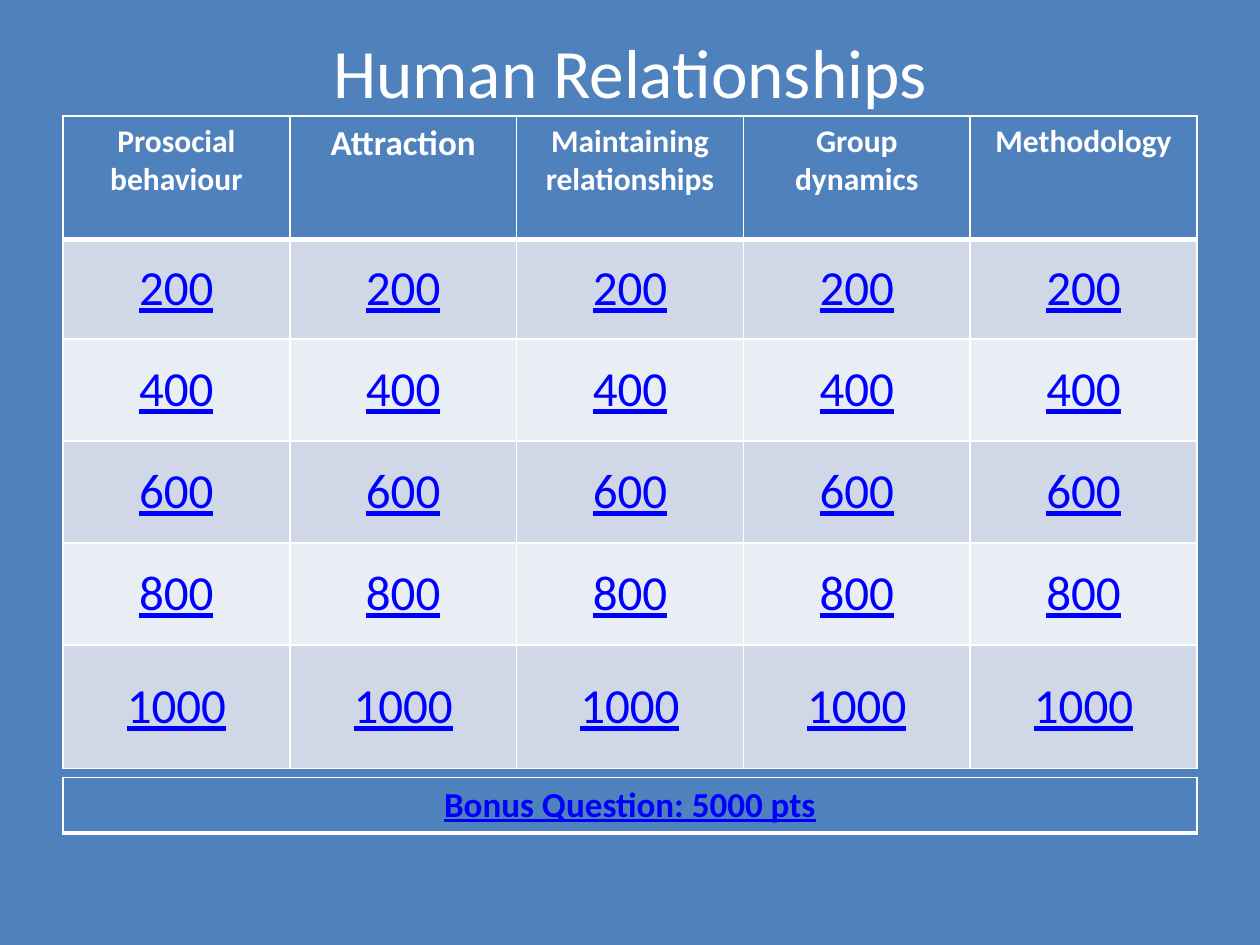
from lxml import etree
from pptx import Presentation
from pptx import util as u
from pptx.dml.color import RGBColor
from pptx.enum import text
from pptx.oxml.ns import qn

BLUE, WHITE, LINK = "4F81BD", "FFFFFF", "0000FF"
BANDS = ["D0D8E8", "E9EDF4"]
MIDDLE = text.MSO_ANCHOR.MIDDLE


def color(value):
    return RGBColor.from_string(value)


def write(frame, content, *, size, ink=WHITE, bold=False, underline=False):
    """Fill a text frame with one centred, formatted paragraph."""
    paragraph = frame.paragraphs[0]
    paragraph.alignment = text.PP_ALIGN.CENTER
    run = paragraph.add_run()
    run.text = content
    font = run.font
    font.name, font.size = "Calibri", u.Pt(size)
    font.bold, font.underline = bold, underline
    font.color.rgb = color(ink)


def draw_borders(cell, top, bottom):
    """Draw white cell borders; widths are in points."""
    properties = cell._tc.get_or_add_tcPr()
    widths = {"a:lnL": 1, "a:lnR": 1, "a:lnT": top, "a:lnB": bottom}
    for index, (tag, width) in enumerate(widths.items()):
        line = etree.Element(qn(tag), w=str(int(u.Pt(width))))
        solid = etree.SubElement(line, qn("a:solidFill"))
        etree.SubElement(solid, qn("a:srgbClr"), val=WHITE)
        properties.insert(index, line)


class QuizBoard:
    """Holds the current slide and the common look of its elements."""
    left, width = u.Inches(0.5), u.Inches(9)

    def __init__(self, presentation):
        self.slide = presentation.slides.add_slide(presentation.slide_layouts[5])
        background = self.slide.background.fill
        background.solid()
        background.fore_color.rgb = color(BLUE)

    def title(self, content, top, height):
        shape = self.slide.shapes.title
        shape.left, shape.top = self.left, u.Inches(top)
        shape.width, shape.height = self.width, u.Inches(height)
        shape.text_frame.auto_size = text.MSO_AUTO_SIZE.NONE
        shape.text_frame.vertical_anchor = MIDDLE
        write(shape.text_frame, content, size=39.6)

    def table(self, top, row_heights, columns):
        shape = self.slide.shapes.add_table(
            len(row_heights), columns, self.left, u.Inches(top),
            self.width, u.Inches(sum(row_heights)))
        for row, height in zip(shape.table.rows, row_heights):
            row.height = u.Inches(height)
        return shape.table

    def cell(self, cell, content, fill, *, top=1, bottom=1,
             anchor=text.MSO_ANCHOR.TOP, **style):
        cell.fill.solid()
        cell.fill.fore_color.rgb = color(fill)
        cell.vertical_anchor = anchor
        draw_borders(cell, top, bottom)
        write(cell.text_frame, content, **style)


def main():
    presentation = Presentation()
    presentation.slide_width, presentation.slide_height = u.Inches(10), u.Inches(7.5)
    board = QuizBoard(presentation)
    board.title("Human Relationships", 0.3, 0.53)

    # Category headings
    categories = [("Prosocial behaviour", 18), ("Attraction", 20),
                  ("Maintaining relationships", 18), ("Group dynamics", 18),
                  ("Methodology", 18)]
    questions = board.table(0.92, [0.98, 0.79, 0.81, 0.81, 0.81, 0.98], len(categories))
    for column, (category, size) in enumerate(categories):
        board.cell(questions.cell(0, column), category, BLUE, bottom=3,
                   size=size, bold=True)

    # Point values in banded rows
    for row, points in enumerate(range(200, 1001, 200), start=1):
        for column in range(len(categories)):
            board.cell(questions.cell(row, column), str(points), BANDS[(row - 1) % 2],
                       top=3 if row == 1 else 1, anchor=MIDDLE,
                       size=28, ink=LINK, underline=True)

    # Bonus question bar
    bonus = board.table(6.17, [0.43], 1)
    board.cell(bonus.cell(0, 0), "Bonus Question: 5000 pts", BLUE, bottom=3,
               size=20, ink=LINK, bold=True, underline=True)

    presentation.save("out.pptx")


if __name__ == "__main__":
    main()
